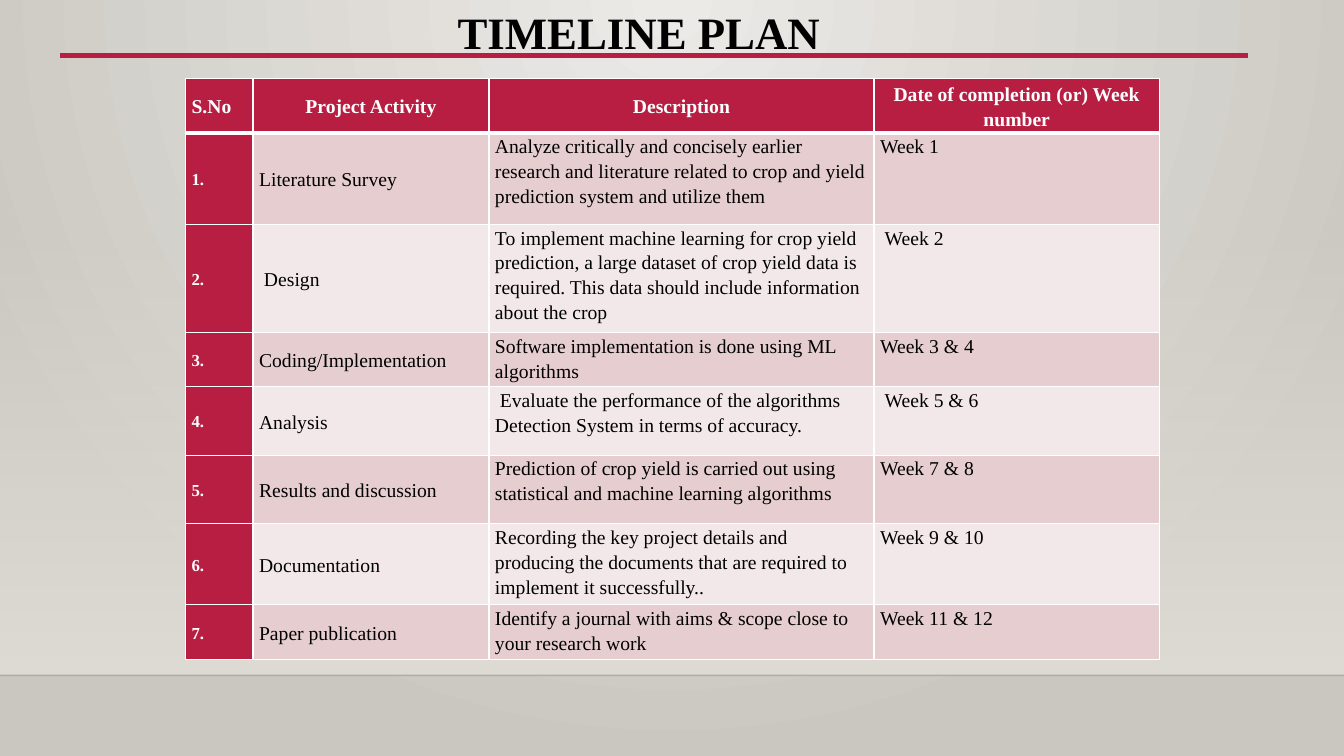
import pptx
import pptx.util
import pptx.dml.color
import pptx.enum.shapes
import pptx.enum.text
import pptx.oxml
import pptx.oxml.ns
import lxml.etree

Inches = pptx.util.Inches
Pt = pptx.util.Pt
RGBColor = pptx.dml.color.RGBColor
qn = pptx.oxml.ns.qn

CRIMSON = RGBColor(0xB7, 0x1E, 0x42)
ROSE = RGBColor(0xE6, 0xCD, 0xCF)
PALE_ROSE = RGBColor(0xF3, 0xE8, 0xE9)
WHITE = RGBColor(0xFF, 0xFF, 0xFF)
BLACK = RGBColor(0x00, 0x00, 0x00)
LIGHT_STONE = RGBColor(0xEC, 0xEA, 0xE7)
STONE = RGBColor(0xCA, 0xC7, 0xC1)
WALL = RGBColor(0xDF, 0xDB, 0xD5)
FONT = "Times New Roman"

HEADINGS = ["S.No", "Project Activity", "Description", "Date of completion (or) Week number"]
ACTIVITIES = [
    ("Literature Survey",
     "Analyze critically and concisely earlier research and literature related to crop and yield "
     "prediction system and utilize them", "Week 1"),
    (" Design",
     "To implement machine learning for crop yield prediction, a large dataset of crop yield data is "
     "required. This data should include information about the crop", " Week 2"),
    ("Coding/Implementation", "Software implementation is done using ML algorithms", "Week 3 & 4"),
    ("Analysis",
     " Evaluate the performance of the algorithms Detection System in terms of accuracy.",
     " Week 5 & 6"),
    ("Results and discussion",
     "Prediction of crop yield is carried out using statistical and machine learning algorithms",
     "Week 7 & 8"),
    ("Documentation",
     "Recording the key project details and producing the documents that are required to implement "
     "it successfully..", "Week 9 & 10"),
    ("Paper publication",
     "Identify a journal with aims & scope close to your research work", "Week 11 & 12"),
]
COLUMN_WIDTHS = [0.67, 2.34, 3.82, 2.83]
ROW_HEIGHTS = [0.47, 0.91, 0.96, 0.47, 0.68, 0.68, 0.72, 0.54]


def add_rule(left, right, y, color, width):
    rule = slide.shapes.add_connector(
        pptx.enum.shapes.MSO_CONNECTOR.STRAIGHT, Inches(left), Inches(y), Inches(right), Inches(y))
    rule.line.color.rgb = color
    rule.line.width = Pt(width)
    lxml.etree.SubElement(rule._element.spPr, qn("a:effectLst"))
    return rule


def set_opacity(color_element, percent):
    lxml.etree.SubElement(color_element, qn("a:alpha"), val=str(percent * 1000))


deck = pptx.Presentation()
deck.slide_width = Inches(13.33)
deck.slide_height = Inches(7.5)
slide = deck.slides.add_slide(deck.slide_layouts[6])

backdrop = slide.background.fill
backdrop.gradient()
for stop, color in zip(backdrop.gradient_stops, (LIGHT_STONE, STONE)):
    stop.color.rgb = color
linear = slide.background._cSld.find(".//" + qn("a:lin"))
linear.getparent().replace(linear, pptx.oxml.parse_xml(
    '<a:path xmlns:a="http://schemas.openxmlformats.org/drawingml/2006/main" path="circle">'
    '<a:fillToRect l="43000" t="0" r="43000" b="100000"/></a:path>'))

wall = slide.shapes.add_shape(
    pptx.enum.shapes.MSO_SHAPE.RECTANGLE, 0, Inches(2.21), Inches(13.33), Inches(4.49))
wall.shadow.inherit = False
wall.line.fill.background()
wall.fill.gradient()
wall.fill.gradient_angle = 270
for stop in wall.fill.gradient_stops:
    stop.color.rgb = WALL
set_opacity(wall._element.spPr.find(".//" + qn("a:srgbClr")), 0)

floor_edge = add_rule(0, 13.33, 6.7, BLACK, 1)
set_opacity(floor_edge._element.spPr.find(".//" + qn("a:srgbClr")), 20)
add_rule(0.6, 12.38, 0.55, CRIMSON, 3)

title = slide.shapes.add_textbox(Inches(4.44), 0, Inches(4.45), Inches(0.64)).text_frame
title.word_wrap = True
title.text = "TIMELINE PLAN"
title_font = title.paragraphs[0].font
title_font.name = FONT
title_font.size = Pt(32)
title_font.bold = True
title_font.color.rgb = BLACK

plan = slide.shapes.add_table(
    len(ROW_HEIGHTS), len(COLUMN_WIDTHS), Inches(1.84), Inches(0.78), Inches(9.65), Inches(5.69)).table
for column, width in zip(plan.columns, COLUMN_WIDTHS):
    column.width = Inches(width)
for row, height in zip(plan.rows, ROW_HEIGHTS):
    row.height = Inches(height)

entries = [HEADINGS] + [(f"{number}.", *activity) for number, activity in enumerate(ACTIVITIES, 1)]
for row_index, entry in enumerate(entries):
    for column_index, wording in enumerate(entry):
        is_header = row_index == 0
        is_accent = is_header or column_index == 0
        cell = plan.cell(row_index, column_index)
        cell.text = wording
        cell.margin_left = cell.margin_right = Inches(0.06)
        cell.margin_top = cell.margin_bottom = 0
        if is_header or column_index < 2:
            cell.vertical_anchor = pptx.enum.text.MSO_ANCHOR.MIDDLE

        paragraph = cell.text_frame.paragraphs[0]
        paragraph.line_spacing = 1.15
        paragraph.space_after = Pt(10)
        if is_header and column_index > 0:
            paragraph.alignment = pptx.enum.text.PP_ALIGN.CENTER
        paragraph.font.name = FONT
        paragraph.font.size = Pt(12 if column_index == 0 and not is_header else 14)
        paragraph.font.bold = is_accent
        paragraph.font.color.rgb = WHITE if is_accent else BLACK

        for side in ("L", "R", "T", "B"):
            below_header = (row_index, side) in ((0, "B"), (1, "T"))
            border = lxml.etree.SubElement(
                cell._tc.get_or_add_tcPr(), qn(f"a:ln{side}"), w=str(Pt(3 if below_header else 1)))
            border_fill = lxml.etree.SubElement(border, qn("a:solidFill"))
            lxml.etree.SubElement(border_fill, qn("a:srgbClr"), val=str(WHITE))
        cell.fill.solid()
        cell.fill.fore_color.rgb = CRIMSON if is_accent else (ROSE if row_index % 2 else PALE_ROSE)

deck.save("out.pptx")
